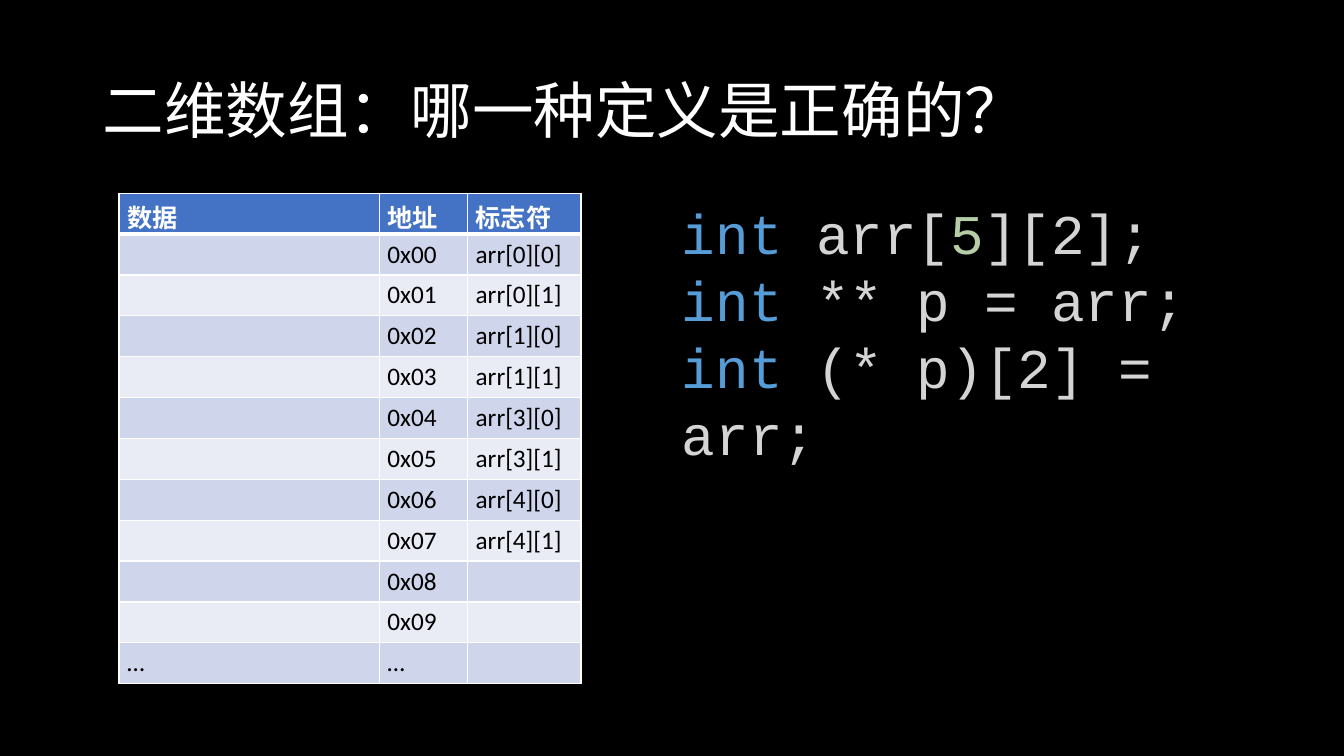
from lxml import etree
from pptx import Presentation
from pptx import util as u
from pptx.dml.color import RGBColor
from pptx.enum import text
from pptx.oxml import ns

COLORS = {
    "background": "000000", "white": "FFFFFF", "black": "000000",
    "header": "4472C4", "odd": "CFD5EA", "even": "E9EBF5",
    "keyword": "569CD6", "plain": "D4D4D4", "number": "B5CEA8",
}
TITLE = "二维数组：哪一种定义是正确的？"
CODE = [
    [("int ", "keyword"), ("arr[", "plain"), ("5", "number"), ("][2];", "plain")],
    [("int", "keyword"), (" ** p = arr;", "plain")],
    [("int", "keyword"), (" (* p)[2] = arr;", "plain")],
]
HEADINGS = ["数据", "地址", "标志符"]
COLUMN_WIDTHS = [186, 63, 81]
ROW_HEIGHT = 29.2
ARRAY_ROWS = [0, 1, 3, 4]


def rgb(name):
    """Return the named colour."""
    return RGBColor.from_string(COLORS[name])


def format_span(span, size, color, font="Calibri", bold=False):
    """Set the font of one run."""
    span.font.size = u.Pt(size)
    span.font.name = font
    span.font.bold = bold
    span.font.color.rgb = rgb(color)


def place(shape, left, top, width, height):
    """Move and size a shape, in points."""
    shape.left, shape.top = u.Pt(left), u.Pt(top)
    shape.width, shape.height = u.Pt(width), u.Pt(height)


def add_title(page):
    """Fill the title placeholder."""
    title = page.shapes.title
    place(title, 66, 29, 828, 104.4)
    frame = title.text_frame
    frame.text = TITLE
    frame.vertical_anchor = text.MSO_ANCHOR.MIDDLE
    frame.auto_size = text.MSO_AUTO_SIZE.NONE
    para = frame.paragraphs[0]
    para.alignment = text.PP_ALIGN.LEFT
    para.line_spacing = 0.9
    format_span(para.runs[0], 44, "white")


def add_code(page, lines):
    """Add the code as one coloured paragraph per line."""
    box = page.shapes.add_textbox(u.Pt(480), u.Pt(138), u.Pt(414), u.Pt(152.6))
    frame = box.text_frame
    frame.word_wrap = True
    frame.auto_size = text.MSO_AUTO_SIZE.SHAPE_TO_FIT_TEXT
    for index, line in enumerate(lines):
        para = frame.add_paragraph() if index else frame.paragraphs[0]
        for words, color in line:
            span = para.add_run()
            span.text = words
            format_span(span, 40, color, "Courier New")


def add_borders(cell, bottom):
    """Draw white cell borders, with the given bottom width."""
    properties = cell._tc.get_or_add_tcPr()
    for tag, width in (("a:lnL", 1), ("a:lnR", 1), ("a:lnT", 1), ("a:lnB", bottom)):
        line = etree.SubElement(properties, ns.qn(tag), w=str(u.Pt(width)))
        fill = etree.SubElement(line, ns.qn("a:solidFill"))
        etree.SubElement(fill, ns.qn("a:srgbClr"), val=COLORS["white"])


def memory_rows():
    """List the data, address and identifier of each table row."""
    names = [f"arr[{row}][{column}]" for row in ARRAY_ROWS for column in range(2)]
    names += [""] * (10 - len(names))
    cells = [["", f"0x{address:02}", name] for address, name in enumerate(names)]
    return [HEADINGS] + cells + [["…", "…", ""]]


def add_memory_table(page, rows):
    """Add the banded memory table."""
    table = page.shapes.add_table(
        len(rows), len(COLUMN_WIDTHS), u.Pt(85), u.Pt(138),
        u.Pt(sum(COLUMN_WIDTHS)), u.Pt(ROW_HEIGHT * len(rows))).table
    for column, width in zip(table.columns, COLUMN_WIDTHS):
        column.width = u.Pt(width)
    for index, values in enumerate(rows):
        table.rows[index].height = u.Pt(ROW_HEIGHT)
        is_header = index == 0
        band = "header" if is_header else "odd" if index % 2 else "even"
        for column, value in enumerate(values):
            cell = table.cell(index, column)
            cell.margin_left = cell.margin_right = u.Pt(5.8)
            cell.margin_top = cell.margin_bottom = u.Pt(3.6)
            add_borders(cell, 3 if is_header else 1)
            cell.fill.solid()
            cell.fill.fore_color.rgb = rgb(band)
            if value:
                cell.text_frame.text = value
                format_span(cell.text_frame.paragraphs[0].runs[0], 18,
                            "white" if is_header else "black", bold=is_header)


def main():
    """Build the slide and save it."""
    deck = Presentation()
    deck.slide_width, deck.slide_height = u.Pt(960), u.Pt(540)
    page = deck.slides.add_slide(deck.slide_layouts.get_by_name("Title Only"))
    page.background.fill.solid()
    page.background.fill.fore_color.rgb = rgb("background")
    add_title(page)
    add_code(page, CODE)
    add_memory_table(page, memory_rows())
    deck.save("out.pptx")


main()
